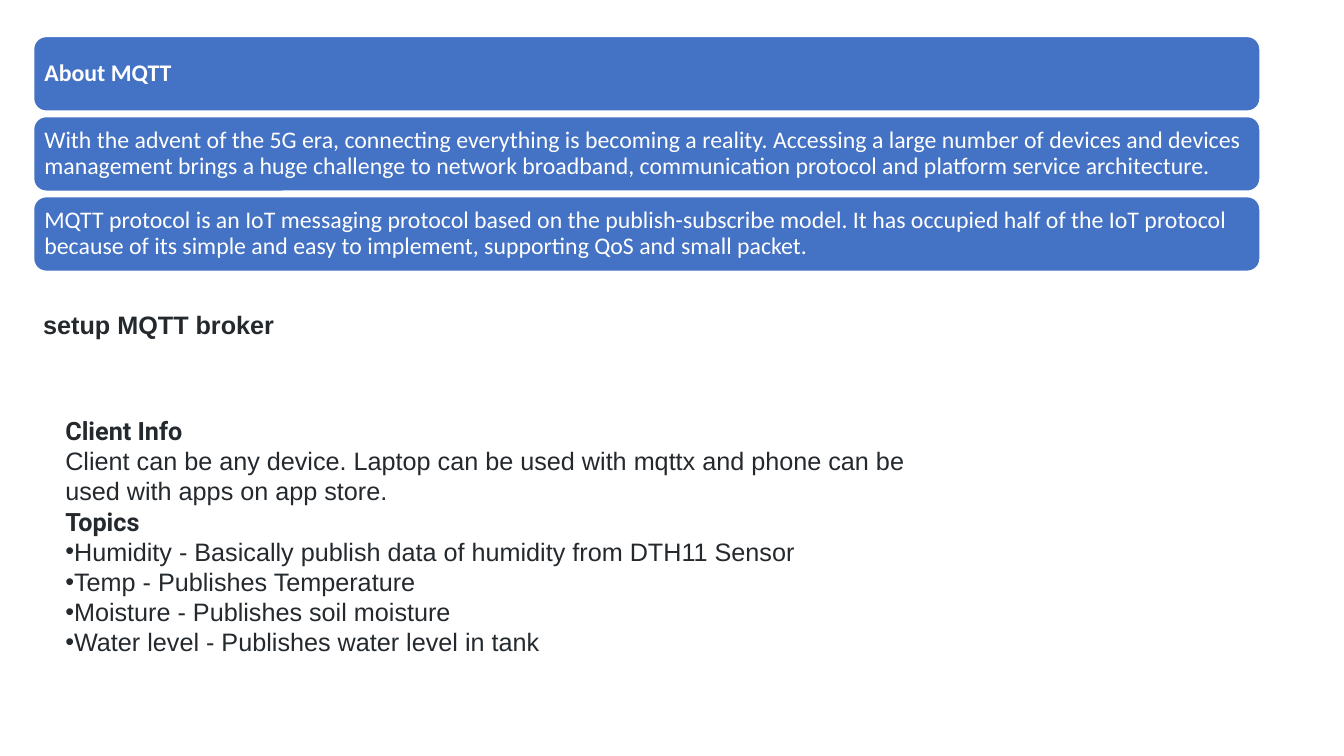
"""Build a slide that introduces MQTT, its broker, clients and topics."""
from lxml import etree
from pptx import Presentation
from pptx.dml.color import RGBColor
from pptx.enum.shapes import MSO_SHAPE
from pptx.enum.text import MSO_ANCHOR, PP_ALIGN
from pptx.oxml.ns import qn
from pptx.util import Pt

ROUNDED = MSO_SHAPE.ROUNDED_RECTANGLE
MIDDLE = MSO_ANCHOR.MIDDLE
LEFT = PP_ALIGN.LEFT
BLUE = RGBColor(0x44, 0x72, 0xC4)
WHITE = RGBColor(0xFF, 0xFF, 0xFF)
INK = RGBColor(0x24, 0x29, 0x2E)

BAR_TOP, BAR_PITCH = 26.1, 57.2
BARS = [
    ("About MQTT", True),
    ("With the advent of the 5G era, connecting everything is becoming a reality. "
     "Accessing a large number of devices and devices management brings a huge challenge "
     "to network broadband, communication protocol and platform service architecture.", False),
    ("MQTT protocol is an IoT messaging protocol based on the publish-subscribe model. "
     "It has occupied half of the IoT protocol because of its simple and easy to implement, "
     "supporting QoS and small packet.", False),
]

HEADING = {"name": "Roboto", "size": Pt(18), "bold": True}
BODY = {"name": "Arial", "size": Pt(18), "bold": False}
BROKER = [("setup MQTT broker", BODY | {"bold": True}, False)]
DETAILS = [
    ("Client Info", HEADING, False),
    ("Client can be any device. Laptop can be used with mqttx and phone can be "
     "used with apps on app store.", BODY, False),
    ("Topics", HEADING, False),
    ("Humidity - Basically publish data of humidity from DTH11 Sensor", BODY, True),
    ("Temp - Publishes Temperature", BODY, True),
    ("Moisture - Publishes soil moisture", BODY, True),
    ("Water level - Publishes water level in tank", BODY, True),
]
TEXT_BOXES = [
    (BROKER, (23.8, 217.4, 741.6, 29.1)),
    (DETAILS, (39.6, 293, 648, 181.8)),
]


def write_paragraph(paragraph, text, font_values, color):
    paragraph.text = text
    for name, value in font_values.items():
        setattr(paragraph.font, name, value)
    paragraph.font.color.rgb = color


presentation = Presentation()
presentation.slide_width, presentation.slide_height = Pt(960), Pt(540)
slide = presentation.slides.add_slide(presentation.slide_layouts[6])

for box_paragraphs, place in TEXT_BOXES:
    text_frame = slide.shapes.add_textbox(*map(Pt, place)).text_frame
    text_frame.word_wrap = True
    for index, (text, font_values, bulleted) in enumerate(box_paragraphs):
        paragraph = text_frame.add_paragraph() if index else text_frame.paragraphs[0]
        if bulleted:
            properties = paragraph._p.get_or_add_pPr()
            etree.SubElement(properties, qn("a:buFont")).set("typeface", "Arial")
            etree.SubElement(properties, qn("a:buChar")).set("char", "•")
        write_paragraph(paragraph, text, font_values, INK)

for index, (text, bold) in enumerate(BARS):
    bar = slide.shapes.add_shape(
        ROUNDED, Pt(24), Pt(BAR_TOP + index * BAR_PITCH), Pt(876), Pt(53.3))
    bar.shadow.inherit = False
    bar.fill.solid()
    bar.fill.fore_color.rgb = BLUE
    bar.line.color.rgb = WHITE
    bar.line.width = Pt(1)
    text_frame = bar.text_frame
    text_frame.word_wrap = True
    text_frame.vertical_anchor = MIDDLE
    for side in ("left", "top", "right", "bottom"):
        setattr(text_frame, f"margin_{side}", Pt(5.1))
    paragraph = text_frame.paragraphs[0]
    paragraph.alignment = LEFT
    paragraph.line_spacing = 0.9
    write_paragraph(paragraph, text, {"name": "Calibri", "size": Pt(17), "bold": bold}, WHITE)

presentation.save("out.pptx")
